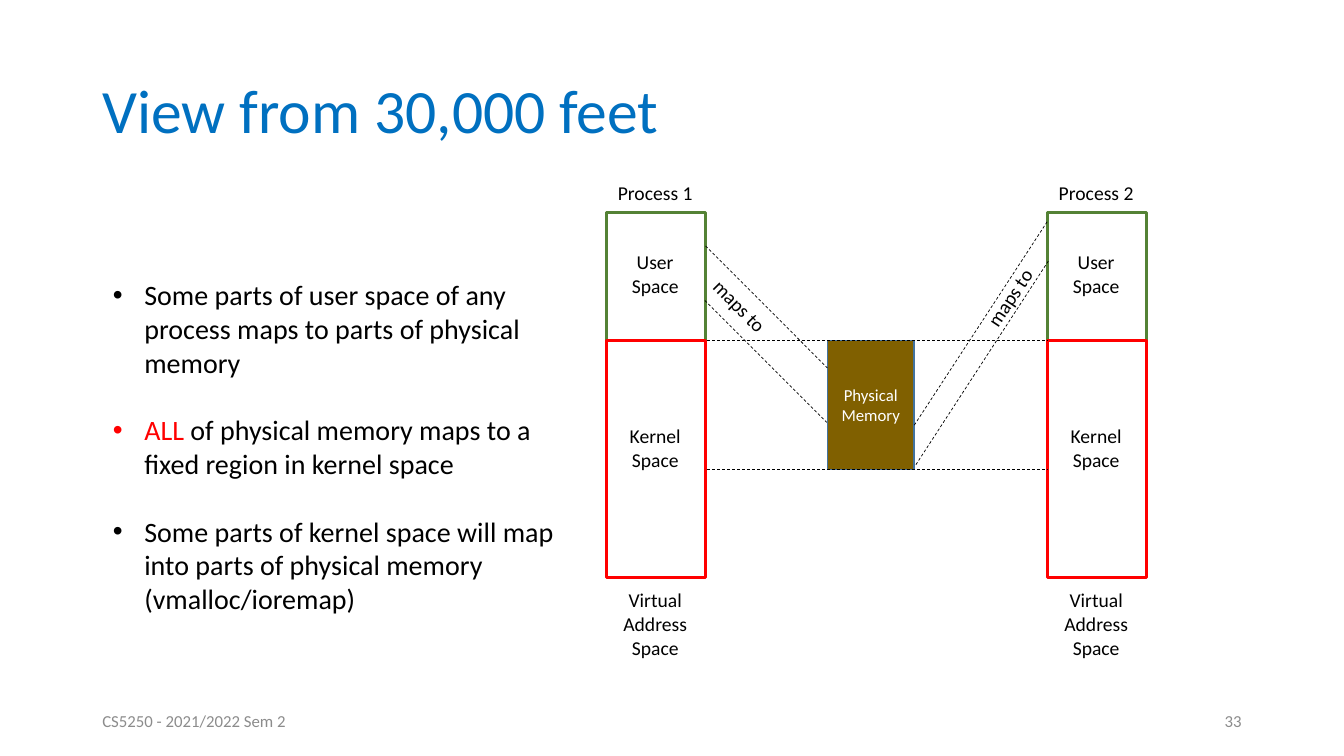
from lxml.etree import SubElement
from pptx import Presentation
from pptx.dml.color import RGBColor
from pptx.enum.dml import MSO_LINE
from pptx.enum.shapes import MSO_CONNECTOR, MSO_SHAPE
from pptx.enum.text import MSO_ANCHOR, PP_ALIGN
from pptx.oxml.ns import qn
from pptx.util import Pt

COLOURS = {
    "title": "0070C0", "text": "000000", "footer": "8C8C8C", "accent": "FF0000",
    "user": "548235", "kernel": "FF0000", "memory": "806000",
    "memory_edge": "43739E", "memory_text": "FFFFFF",
}
LABEL = {"size": Pt(14), "colour": "text"}
BODY = {"size": Pt(20), "colour": "text"}
FOOTER = {"size": Pt(12), "colour": "footer"}

COLUMN_WIDTH, COLUMN_STEP = 70.6, 315
COLUMN_LEFT, COLUMN_TOP, KERNEL_TOP, COLUMN_BOTTOM = 433.5, 152, 243.4, 412.6
MEMORY_LEFT, MEMORY_WIDTH, MEMORY_HEIGHT = 591, 62, 91.8

# Label lines, top, height
COLUMN_LABELS = [
    (["User", "Space"], 175, 41),
    (["Kernel", "Space"], 299.5, 41),
    (["Virtual", "Address", "Space"], 416.7, 58.3),
]
# Start x, start y, end x, end y
MAPPING_LINES = [
    (505, 243, 748, 243),
    (505, 335.5, 748, 335.5),
    (504, 175.7, 591, 262.8),
    (503.5, 214.6, 590.5, 301.7),
    (748, 158.4, 653, 303.8),
    (748.8, 186.5, 653.8, 332.6),
]
# Each bullet is a list of (text, colour) pieces
BULLETS = [
    [("Some parts of user space of any process maps to parts of physical memory", "text")],
    [("ALL", "accent"), (" of physical memory maps to a fixed region in kernel space", "text")],
    [("Some parts of kernel space will map into parts of physical memory "
      "(vmalloc/ioremap)", "text")],
]


def rgb(name):
    return RGBColor.from_string(COLOURS[name])


def apply(target, values):
    for name, value in values.items():
        setattr(target, name, value)


def add_run(paragraph, text, size, colour):
    run = paragraph.add_run()
    run.text = text
    apply(run.font, {"name": "Calibri", "size": size})
    run.font.color.rgb = rgb(colour)


def write_lines(frame, lines, style, **paragraph_format):
    for index, line in enumerate(lines):
        paragraph = frame.add_paragraph() if index else frame.paragraphs[0]
        apply(paragraph, paragraph_format)
        add_run(paragraph, line, **style)


def add_text(slide, box, lines, style, wrap=True, anchor=MSO_ANCHOR.TOP,
             rotation=0, **paragraph_format):
    shape = slide.shapes.add_textbox(*map(Pt, box))
    shape.rotation = rotation
    apply(shape.text_frame, {"word_wrap": wrap, "vertical_anchor": anchor})
    write_lines(shape.text_frame, lines, style, **paragraph_format)


def add_box(slide, box, line, line_width, fill=None):
    shape = slide.shapes.add_shape(MSO_SHAPE.RECTANGLE, *map(Pt, box))
    shape.shadow.inherit = False
    shape.line.color.rgb = rgb(line)
    shape.line.width = Pt(line_width)
    if fill:
        shape.fill.solid()
        shape.fill.fore_color.rgb = rgb(fill)
    else:
        shape.fill.background()
    return shape


def add_dashed_line(slide, points):
    connector = slide.shapes.add_connector(MSO_CONNECTOR.STRAIGHT, *map(Pt, points))
    connector.line.color.rgb = rgb("text")
    apply(connector.line, {"width": Pt(0.5), "dash_style": MSO_LINE.DASH})
    SubElement(connector._element.spPr, qn("a:effectLst"))


def add_bullets(slide, box, bullets):
    frame = slide.shapes.add_textbox(*map(Pt, box)).text_frame
    frame.word_wrap = True
    for index, pieces in enumerate(bullets):
        paragraph = frame.add_paragraph() if index else frame.paragraphs[0]
        properties = paragraph._p.get_or_add_pPr()
        properties.set("marL", str(Pt(22.5)))
        properties.set("indent", str(Pt(-22.5)))
        SubElement(properties, qn("a:buFont")).set("typeface", "Arial")
        SubElement(properties, qn("a:buChar")).set("char", "•")
        if index:
            paragraph.space_before = Pt(24.4)
        for text, colour in pieces:
            add_run(paragraph, text, BODY["size"], colour)


def add_process(slide, number):
    left = COLUMN_LEFT + (number - 1) * COLUMN_STEP
    add_box(slide, (left, COLUMN_TOP, COLUMN_WIDTH, KERNEL_TOP - COLUMN_TOP), "user", 2)
    add_box(slide, (left, KERNEL_TOP, COLUMN_WIDTH, COLUMN_BOTTOM - KERNEL_TOP), "kernel", 2)
    for lines, top, height in [([f"Process {number}"], 126, 24.5), *COLUMN_LABELS]:
        add_text(slide, (left - 0.8, top, COLUMN_WIDTH, height), lines, LABEL,
                 wrap=False, alignment=PP_ALIGN.CENTER)


def add_physical_memory(slide):
    box = (MEMORY_LEFT, KERNEL_TOP, MEMORY_WIDTH, MEMORY_HEIGHT)
    shape = add_box(slide, box, "memory_edge", 1, "memory")
    apply(shape.text_frame, {"word_wrap": True, "vertical_anchor": MSO_ANCHOR.MIDDLE})
    write_lines(shape.text_frame, ["Physical", "Memory"],
                {"size": Pt(12), "colour": "memory_text"}, alignment=PP_ALIGN.CENTER)


def main():
    presentation = Presentation()
    apply(presentation, {"slide_width": Pt(960), "slide_height": Pt(540)})
    slide = presentation.slides.add_slide(presentation.slide_layouts[6])

    # Title and bullets
    add_text(slide, (66, 28.8, 828, 104.4), ["View from 30,000 feet"],
             {"size": Pt(44), "colour": "title"}, anchor=MSO_ANCHOR.MIDDLE, line_spacing=0.9)
    add_bullets(slide, (73.5, 195, 337, 250), BULLETS)

    # Address spaces and physical memory
    for number in (1, 2):
        add_process(slide, number)
    add_physical_memory(slide)

    # Mappings
    for points in MAPPING_LINES:
        add_dashed_line(slide, points)
    for left, top, rotation in [(498.2, 206.6, 45.4), (691.2, 200.2, 303.6)]:
        add_text(slide, (left, top, 60.5, 24.5), ["maps to"], LABEL,
                 wrap=False, rotation=rotation)

    # Footer
    for left, text, alignment in [(66, "CS5250 - 2021/2022 Sem 2", PP_ALIGN.LEFT),
                                  (678, "33", PP_ALIGN.RIGHT)]:
        add_text(slide, (left, 500.5, 216, 28.8), [text], FOOTER,
                 anchor=MSO_ANCHOR.MIDDLE, alignment=alignment)

    presentation.save("out.pptx")


if __name__ == "__main__":
    main()
